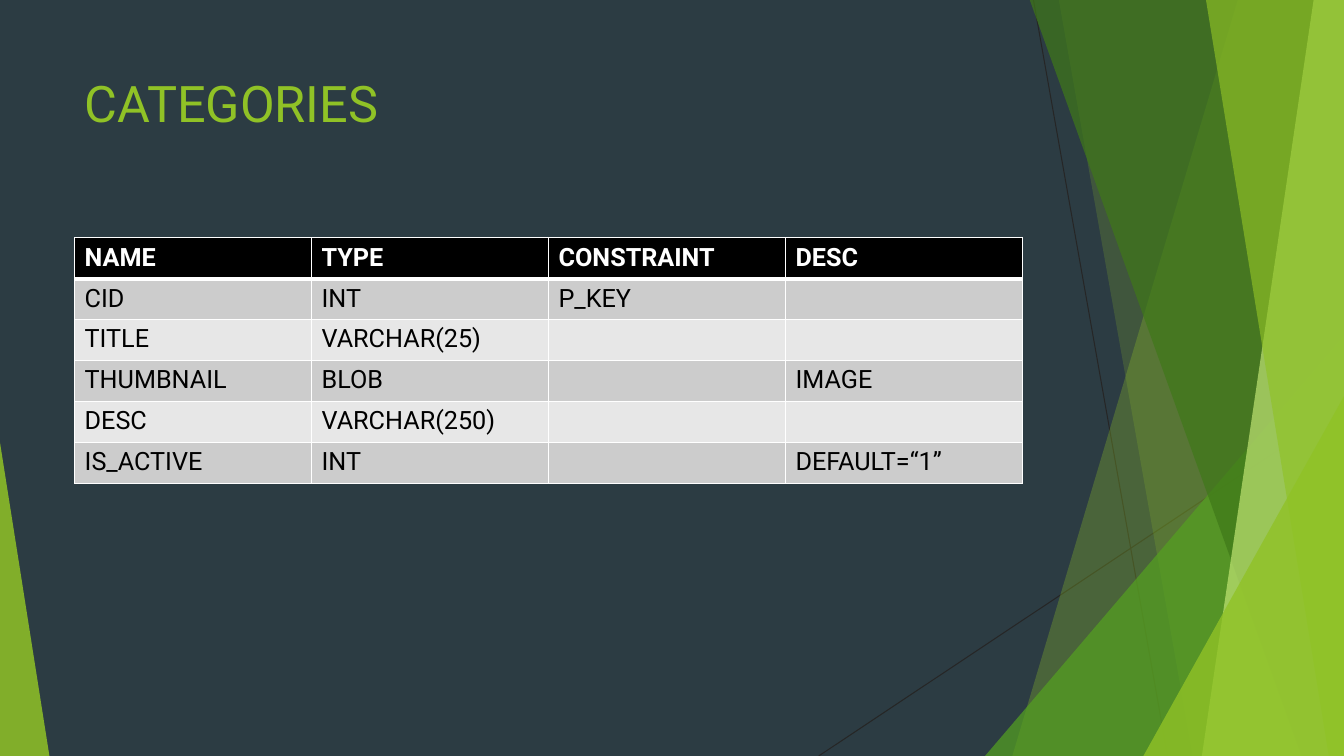
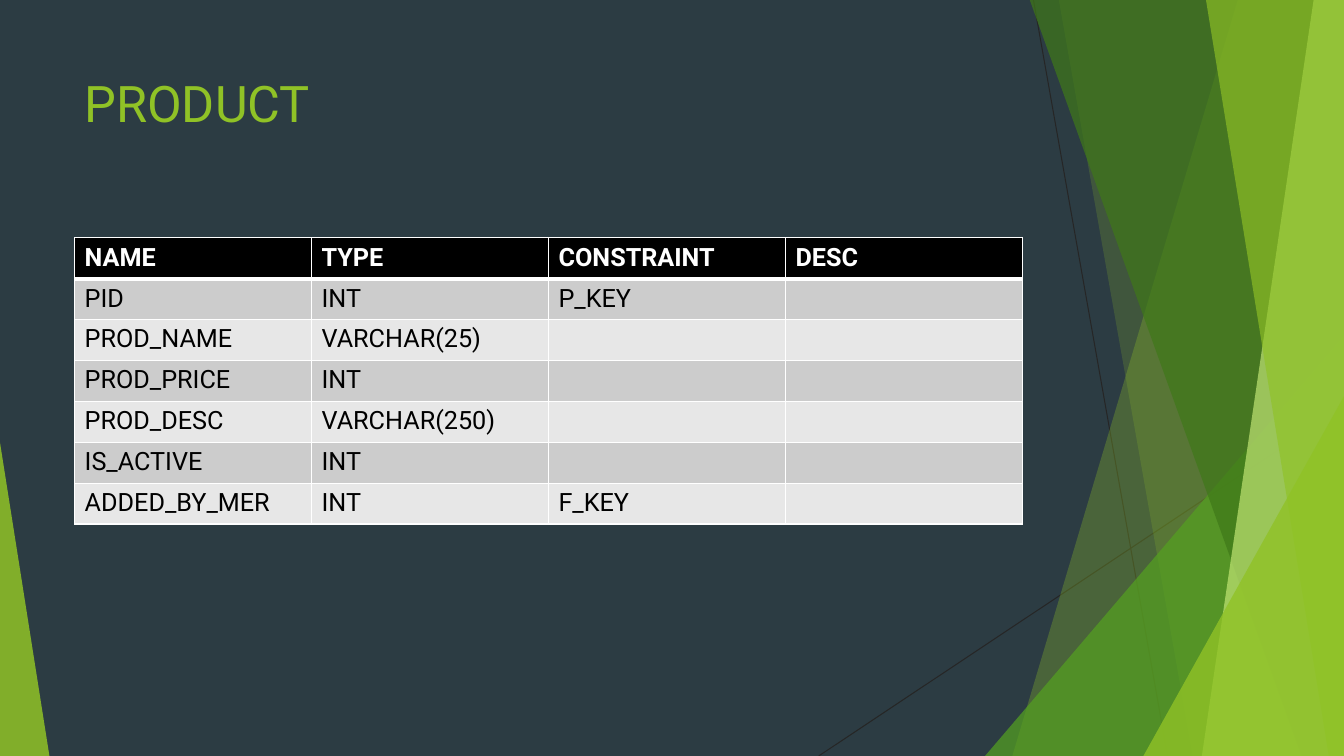
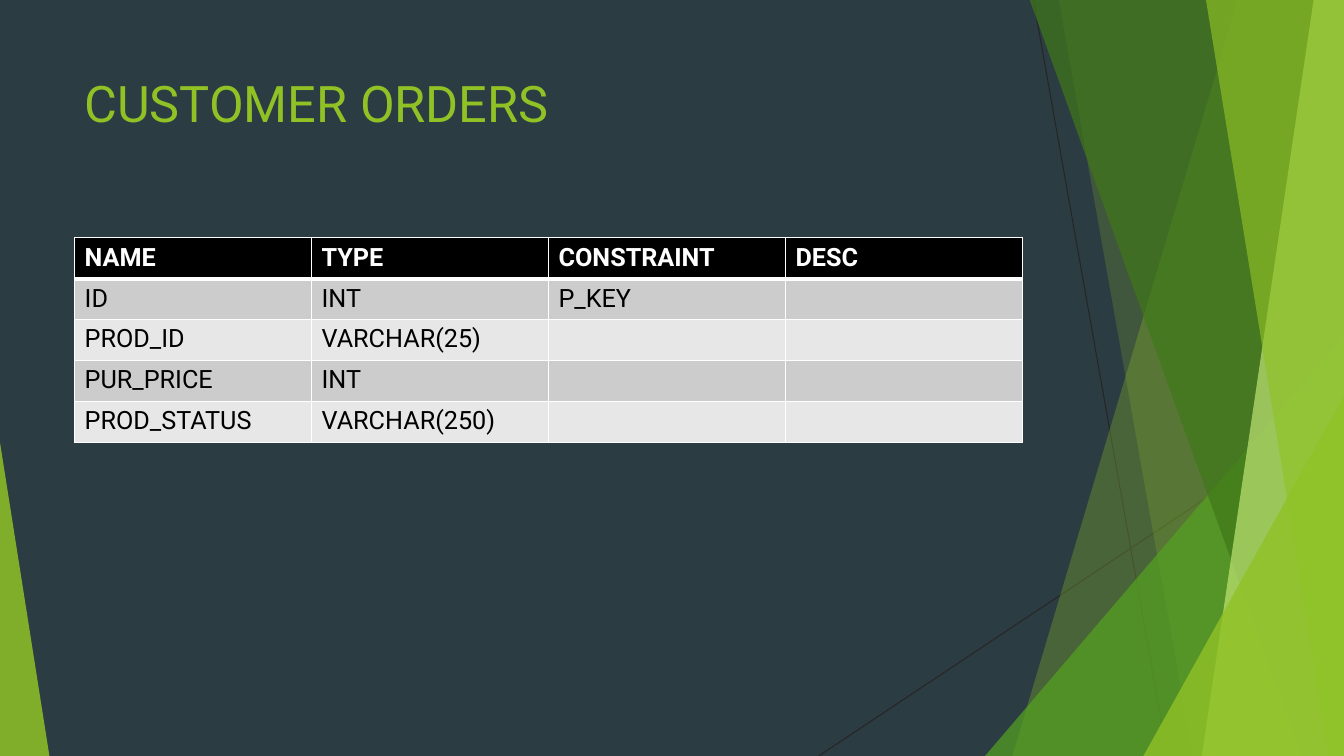
"""Build three slides of database tables over a fan of green shards."""
from dataclasses import dataclass

from lxml import etree
from pptx import Presentation
from pptx.dml.color import RGBColor
from pptx.enum.shapes import MSO_CONNECTOR, MSO_SHAPE
from pptx.oxml.ns import qn
from pptx.shapes.autoshape import Shape
from pptx.slide import Slide
from pptx.table import _Cell
from pptx.text.text import TextFrame
from pptx.util import Inches, Pt

TRIANGLE = MSO_SHAPE.ISOSCELES_TRIANGLE
STRAIGHT = MSO_CONNECTOR.STRAIGHT
BLANK = 6
WIDE, HIGH, TOP = 13.33, 7.5, -0.01
LEFT, SPAN = 0.74, 9.4
ROW = Inches(2.84 / 7)


@dataclass(frozen=True)
class Theme:
    font: str = "Roboto"
    back: str = "2C3C43"
    lime: str = "90C226"
    green: str = "54A021"
    dark: str = "3F7819"
    pale: str = "C0E474"
    ray: str = "262626"
    white: str = "FFFFFF"
    black: str = "000000"
    bands: tuple[str, str] = ("CCCCCC", "E7E7E7")
    title: float = 36
    body: float = 18
    hair: float = 0.75
    thin: float = 1
    thick: float = 3


@dataclass(frozen=True)
class Ray:
    start: tuple[float, float]
    end: tuple[float, float]


@dataclass(frozen=True)
class Shard:
    top: float
    foot: float
    color: str
    alpha: int


@dataclass(frozen=True)
class Wedge:
    left: float
    top: float
    width: float
    peak: float
    color: str
    alpha: int


@dataclass(frozen=True)
class Page:
    title: str
    rows: list[tuple[str, ...]]


THEME = Theme()
HEAD = ("NAME", "TYPE", "CONSTRAINT", "DESC")
DECOR = (
    Ray((10.25, 0), (11.58, HIGH)),
    Ray((WIDE, 4.03), (8.12, HIGH)),
    Shard(12.28, 10.04, THEME.lime, 30),
    Shard(10.5, 11.83, THEME.lime, 20),
    Wedge(9.77, 3.33, 3.56, 1, THEME.green, 72),
    Shard(10.21, 12.91, THEME.dark, 70),
    Shard(13.03, 11.92, THEME.pale, 70),
    Shard(11.96, 13.18, THEME.lime, 65),
    Wedge(11.34, 3.93, 1.99, 1, THEME.lime, 80),
    Wedge(0, 4.39, 0.49, 0, THEME.lime, 85),
)
PAGES = (
    Page("CATEGORIES", [
        ("CID", "INT", "P_KEY", ""),
        ("TITLE", "VARCHAR(25)", "", ""),
        ("THUMBNAIL", "BLOB", "", "IMAGE"),
        ("DESC", "VARCHAR(250)", "", ""),
        ("IS_ACTIVE", "INT", "", "DEFAULT=“1”"),
    ]),
    Page("PRODUCT", [
        ("PID", "INT", "P_KEY", ""),
        ("PROD_NAME", "VARCHAR(25)", "", ""),
        ("PROD_PRICE", "INT", "", ""),
        ("PROD_DESC", "VARCHAR(250)", "", ""),
        ("IS_ACTIVE", "INT", "", ""),
        ("ADDED_BY_MER", "INT", "F_KEY", ""),
    ]),
    Page("CUSTOMER ORDERS", [
        ("ID", "INT", "P_KEY", ""),
        ("PROD_ID", "VARCHAR(25)", "", ""),
        ("PUR_PRICE", "INT", "", ""),
        ("PROD_STATUS", "VARCHAR(250)", "", ""),
    ]),
)


def rgb(color: str) -> RGBColor:
    return RGBColor.from_string(color)


def write(frame: TextFrame, text: str, size: float, color: str, bold: bool = False) -> None:
    font = frame.paragraphs[0].font
    if text:
        run = frame.paragraphs[0].add_run()
        run.text = text
        font = run.font
    for name, value in {"name": THEME.font, "size": Pt(size), "bold": bold}.items():
        setattr(font, name, value)
    font.color.rgb = rgb(color)


def tint(shape: Shape, color: str, alpha: int) -> None:
    shape.shadow.inherit = False
    shape.fill.solid()
    shape.fill.fore_color.rgb = rgb(color)
    shape.line.fill.background()
    tone = shape.element.spPr.find(f"{qn('a:solidFill')}/{qn('a:srgbClr')}")
    etree.SubElement(tone, qn("a:alpha"), val=str(alpha * 1000))


def draw_ray(slide: Slide, ray: Ray) -> None:
    ends = [Inches(value) for value in ray.start + ray.end]
    line = slide.shapes.add_connector(STRAIGHT, *ends)
    line.line.color.rgb = rgb(THEME.ray)
    line.line.width = Pt(THEME.hair)
    etree.SubElement(line.element.spPr, qn("a:effectLst"))


def draw_shard(slide: Slide, shard: Shard) -> None:
    spots = ((shard.top, TOP), (WIDE, TOP), (WIDE, HIGH), (shard.foot, HIGH))
    first, *rest = [(Inches(x), Inches(y)) for x, y in spots]
    pen = slide.shapes.build_freeform(*first)
    pen.add_line_segments(rest, close=True)
    tint(pen.convert_to_shape(), shard.color, shard.alpha)


def draw_wedge(slide: Slide, wedge: Wedge) -> None:
    box = (wedge.left, wedge.top, wedge.width, HIGH - wedge.top)
    shape = slide.shapes.add_shape(TRIANGLE, *map(Inches, box))
    shape.adjustments[0] = wedge.peak
    tint(shape, wedge.color, wedge.alpha)


DRAW = {Ray: draw_ray, Shard: draw_shard, Wedge: draw_wedge}


def edge(cell: _Cell, sides: dict[str, float]) -> None:
    props = cell._tc.get_or_add_tcPr()
    for side, width in sides.items():
        line = etree.SubElement(props, qn(f"a:ln{side}"), w=str(Pt(width)))
        fill = etree.SubElement(line, qn("a:solidFill"))
        etree.SubElement(fill, qn("a:srgbClr"), val=THEME.white)


def draw_table(slide: Slide, rows: list[tuple[str, ...]]) -> None:
    grid = [HEAD, *rows]
    place = (Inches(LEFT), Inches(2.36), Inches(SPAN), ROW * len(grid))
    table = slide.shapes.add_table(len(grid), len(HEAD), *place).table
    table.horz_banding = False
    for column in table.columns:
        column.width = Inches(SPAN / len(HEAD))
    for i, row in enumerate(grid):
        table.rows[i].height = ROW
        head = i == 0
        back = THEME.black if head else THEME.bands[(i - 1) % 2]
        ink = THEME.white if head else THEME.black
        sides = {
            "L": THEME.thin,
            "R": THEME.thin,
            "T": THEME.thick if i == 1 else THEME.thin,
            "B": THEME.thick if head else THEME.thin,
        }
        for j, text in enumerate(row):
            cell = table.cell(i, j)
            edge(cell, sides)
            cell.fill.solid()
            cell.fill.fore_color.rgb = rgb(back)
            write(cell.text_frame, text, THEME.body, ink, head)


def draw_title(slide: Slide, text: str) -> None:
    box = slide.shapes.add_textbox(*map(Inches, (LEFT, 0.67, SPAN, 1.44)))
    box.text_frame.word_wrap = True
    write(box.text_frame, text, THEME.title, THEME.lime)


def main() -> None:
    deck = Presentation()
    deck.slide_width, deck.slide_height = Inches(WIDE), Inches(HIGH)
    fill = deck.slide_master.background.fill
    fill.solid()
    fill.fore_color.rgb = rgb(THEME.back)
    for page in PAGES:
        slide = deck.slides.add_slide(deck.slide_layouts[BLANK])
        for item in DECOR:
            DRAW[type(item)](slide, item)
        draw_title(slide, page.title)
        draw_table(slide, page.rows)
    deck.save("out.pptx")


if __name__ == "__main__":
    main()
